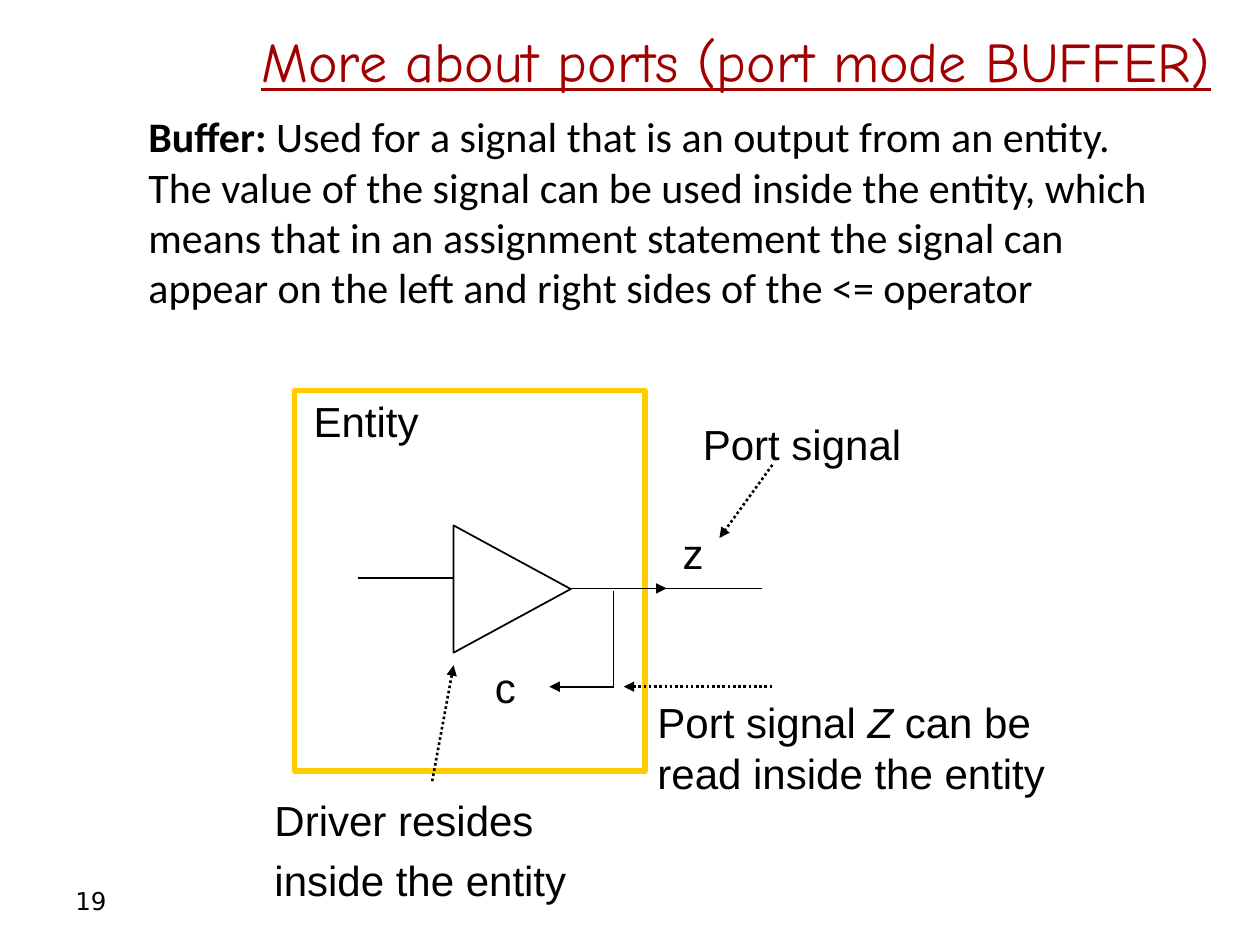
from dataclasses import dataclass

from lxml import etree
from pptx import Presentation
from pptx.dml.color import RGBColor
from pptx.enum.dml import MSO_LINE
from pptx.enum.shapes import MSO_CONNECTOR, MSO_SHAPE
from pptx.enum.text import MSO_ANCHOR, PP_ALIGN
from pptx.oxml.ns import qn
from pptx.util import Inches, Pt

BLACK = RGBColor(0x00, 0x00, 0x00)
DARK_RED = RGBColor(0xA2, 0x00, 0x00)
GOLD = RGBColor(0xFF, 0xCC, 0x00)

STRAIGHT = MSO_CONNECTOR.STRAIGHT
RECTANGLE = MSO_SHAPE.RECTANGLE
EXTRACT = MSO_SHAPE.FLOWCHART_EXTRACT
DOTTED = MSO_LINE.ROUND_DOT
TOP, MIDDLE = MSO_ANCHOR.TOP, MSO_ANCHOR.MIDDLE
LEFT, RIGHT = PP_ALIGN.LEFT, PP_ALIGN.RIGHT


@dataclass(frozen=True)
class Run:
    text: str
    bold: bool | None = None
    italic: bool | None = None


@dataclass(frozen=True)
class Caption:
    box: tuple[float, float, float, float]
    paragraphs: tuple[tuple[Run, ...], ...]
    font: str = "Arial"
    size: float = 24
    color: RGBColor = BLACK
    underline: bool | None = None
    align: PP_ALIGN = LEFT
    anchor: MSO_ANCHOR = TOP
    wrap: bool = True
    indent: float = 0
    gap: float = 0


@dataclass(frozen=True)
class Wire:
    start: tuple[float, float]
    end: tuple[float, float]
    arrow: bool = False
    pointer: bool = False


def label(box: tuple[float, float, float, float], *lines: str) -> Caption:
    """Unwrapped diagram label with one paragraph per line."""
    return Caption(box, tuple((Run(line),) for line in lines), wrap=False, gap=5.5)


PAGE_NUMBER = Caption((0.5, 6.95, 2.33, 0.4), ((Run("19"),),),
                      font="DejaVu Sans", size=14, anchor=MIDDLE)
TITLE = Caption((0.33, 0.13, 9.38, 0.7), ((Run("More about ports (port mode BUFFER)"),),),
                font="Comic Neue", size=32, color=DARK_RED, underline=True,
                align=RIGHT, anchor=MIDDLE)
DEFINITION = Caption(
    (0.58, 0.83, 8.67, 1.72),
    ((Run("Buffer:", bold=True),
      Run(" Used for a signal that is an output from an entity. The value of the "
          "signal can be used inside the entity, which means that in an assignment "
          "statement the signal can appear on the left and right sides of the "
          "<= operator")),),
    font="Calibri", indent=0.5)
FEEDBACK_NOTE = Caption(
    (5.12, 5.48, 3.63, 0.91),
    ((Run("Port signal "), Run("Z", italic=True), Run(" can be")),
     (Run("read inside the entity"),)))
CAPTIONS = (
    PAGE_NUMBER,
    TITLE,
    DEFINITION,
    label((2.39, 3.09, 1.05, 0.5), "Entity"),
    label((5.48, 3.27, 1.8, 0.5), "Port signal"),
    label((2.08, 6.26, 2.55, 0.99), "Driver resides", "inside the entity"),
    FEEDBACK_NOTE,
    label((3.83, 5.2, 0.37, 0.5), "c"),
    label((5.32, 4.14, 0.37, 0.5), "z"),
)

OUTPUT_Y, FEEDBACK_X, FEEDBACK_Y = 4.67, 4.87, 5.45
WIRES = (
    Wire((2.84, 4.59), (3.6, 4.59)),
    Wire((4.53, OUTPUT_Y), (5.29, OUTPUT_Y), arrow=True),
    Wire((5.21, OUTPUT_Y), (6.05, OUTPUT_Y)),
    Wire((FEEDBACK_X, 4.69), (FEEDBACK_X, FEEDBACK_Y)),
    Wire((FEEDBACK_X, FEEDBACK_Y), (4.36, FEEDBACK_Y), arrow=True),
    Wire((3.43, 6.2), (3.6, 5.28), arrow=True, pointer=True),
    Wire((6.13, 3.69), (5.71, 4.27), arrow=True, pointer=True),
    Wire((6.13, FEEDBACK_Y), (4.95, FEEDBACK_Y), arrow=True, pointer=True),
)


def add_caption(slide, caption: Caption) -> None:
    frame = slide.shapes.add_textbox(*map(Inches, caption.box)).text_frame
    frame.word_wrap = caption.wrap
    frame.vertical_anchor = caption.anchor
    for index, runs in enumerate(caption.paragraphs):
        paragraph = frame.add_paragraph() if index else frame.paragraphs[0]
        paragraph.alignment = caption.align
        if index and caption.gap:
            paragraph.space_before = Pt(caption.gap)
        if caption.indent:
            properties = paragraph._p.get_or_add_pPr()
            properties.set("marL", str(Inches(caption.indent)))
            properties.set("indent", "0")
        font = paragraph.font
        font.name = caption.font
        font.size = Pt(caption.size)
        font.color.rgb = caption.color
        font.underline = caption.underline
        for part in runs:
            run = paragraph.add_run()
            run.text = part.text
            run.font.bold = part.bold
            run.font.italic = part.italic


def add_outline(slide, kind: MSO_SHAPE, box: tuple[float, float, float, float],
                color: RGBColor, width: float, rotation: float = 0) -> None:
    shape = slide.shapes.add_shape(kind, *map(Inches, box))
    shape.rotation = rotation
    shape.shadow.inherit = False
    shape.fill.background()
    shape.line.color.rgb = color
    shape.line.width = Pt(width)


def add_wire(slide, wire: Wire) -> None:
    connector = slide.shapes.add_connector(
        STRAIGHT, *map(Inches, wire.start + wire.end))
    line = connector.line
    line.color.rgb = BLACK
    line.width = Pt(1.5 if wire.pointer else 1)
    if wire.pointer:
        line.dash_style = DOTTED
    if wire.arrow:
        etree.SubElement(line._get_or_add_ln(), qn("a:tailEnd"), type="triangle")
    etree.SubElement(connector._element.spPr, qn("a:effectLst"))


def main() -> None:
    presentation = Presentation()
    presentation.slide_width = Inches(10)
    presentation.slide_height = Inches(7.5)
    slide = presentation.slides.add_slide(presentation.slide_layouts[6])
    add_outline(slide, RECTANGLE, (2.34, 3.1, 2.78, 3.02), GOLD, 3)
    add_outline(slide, EXTRACT, (3.56, 4.21, 1.01, 0.93), BLACK, 1, rotation=90)
    for wire in WIRES:
        add_wire(slide, wire)
    for caption in CAPTIONS:
        add_caption(slide, caption)
    presentation.save("out.pptx")


if __name__ == "__main__":
    main()
